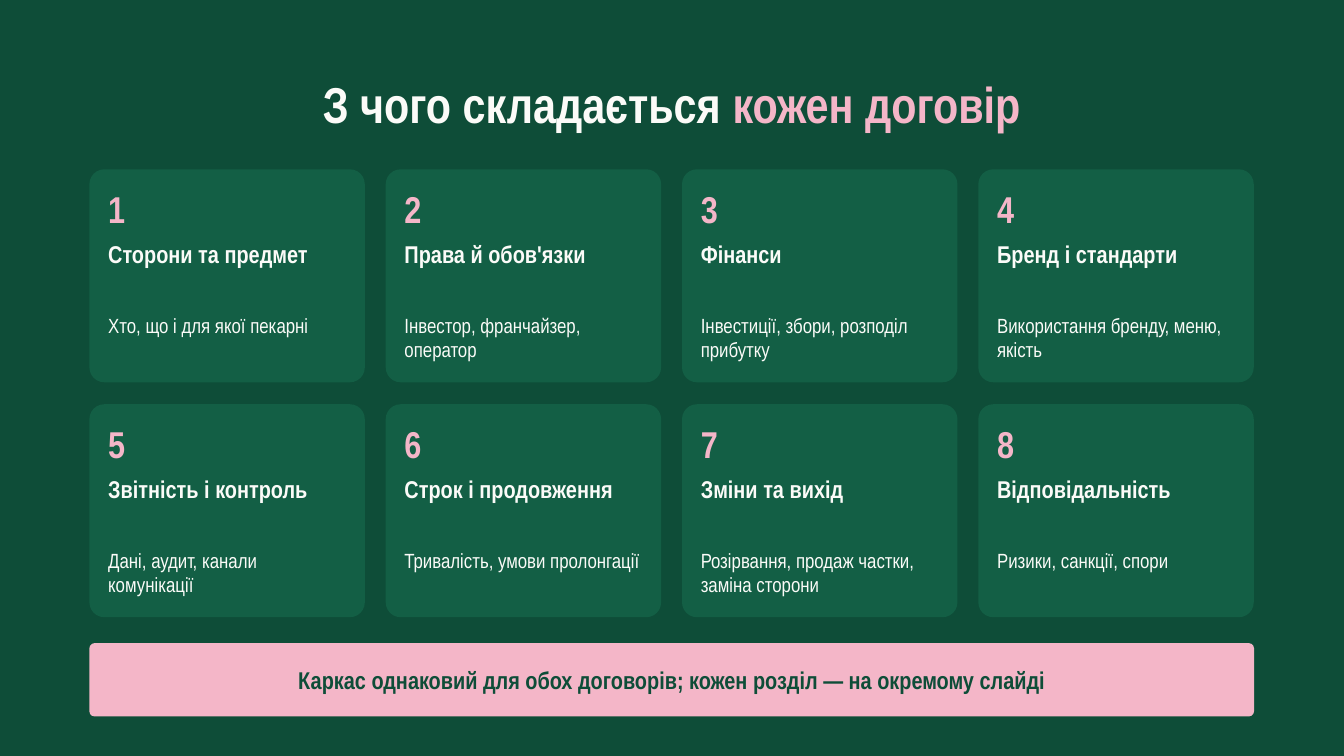
"""Build a slide with eight numbered contract sections and a closing banner."""
from typing import NamedTuple

from pptx import Presentation
from pptx.dml.color import RGBColor
from pptx.enum.shapes import MSO_SHAPE
from pptx.enum.text import MSO_ANCHOR, PP_ALIGN
from pptx.slide import Slide
from pptx.util import Cm, Pt

ROUND = MSO_SHAPE.ROUNDED_RECTANGLE
TOP, MIDDLE = MSO_ANCHOR.TOP, MSO_ANCHOR.MIDDLE
LEFT, CENTER = PP_ALIGN.LEFT, PP_ALIGN.CENTER
FONT = "Arial Narrow"
COLORS = {"dark": "0E4D38", "card": "135F45", "pink": "F4B6C8", "light": "FBFBF8"}
COLS = 4
STEP_X, STEP_Y = 11.2, 8.88


class Box(NamedTuple):
    """A frame in centimetres."""
    left: float
    top: float
    width: float
    height: float


class Style(NamedTuple):
    """The look of a run of text."""
    size: int
    color: str
    bold: bool = True


class Part(NamedTuple):
    """The place of one text inside a card."""
    drop: float
    height: float
    style: Style


class Card(NamedTuple):
    """The words of one contract section."""
    title: str
    detail: str


TITLE = Style(54, "light")
ACCENT = Style(54, "pink")
NOTE = Style(26, "dark")
PARTS = [
    Part(0.65, 1.96, Style(40, "pink")),
    Part(2.63, 2.49, Style(26, "light")),
    Part(5.42, 2.49, Style(22, "light", False)),
]
CARDS = [
    Card("Сторони та предмет", "Хто, що і для якої пекарні"),
    Card("Права й обов'язки", "Інвестор, франчайзер, оператор"),
    Card("Фінанси", "Інвестиції, збори, розподіл прибутку"),
    Card("Бренд і стандарти", "Використання бренду, меню, якість"),
    Card("Звітність і контроль", "Дані, аудит, канали комунікації"),
    Card("Строк і продовження", "Тривалість, умови пролонгації"),
    Card("Зміни та вихід", "Розірвання, продаж частки, заміна сторони"),
    Card("Відповідальність", "Ризики, санкції, спори"),
]


def paint(color: str) -> RGBColor:
    """Return the named colour."""
    return RGBColor.from_string(COLORS[color])


def add_panel(slide: Slide, box: Box, color: str) -> None:
    """Draw a filled rounded panel."""
    panel = slide.shapes.add_shape(ROUND, *map(Cm, box))
    panel.adjustments[0] = 0.07
    panel.shadow.inherit = False
    panel.fill.solid()
    panel.fill.fore_color.rgb = paint(color)
    panel.line.fill.background()


def add_text(slide: Slide, box: Box, runs: list[tuple[str, Style]],
             align: PP_ALIGN = LEFT, anchor: MSO_ANCHOR = TOP) -> None:
    """Write one paragraph of styled runs."""
    frame = slide.shapes.add_textbox(*map(Cm, box)).text_frame
    format = {"word_wrap": True, "vertical_anchor": anchor, "margin_left": 0,
              "margin_top": 0, "margin_right": 0, "margin_bottom": 0}
    for name, value in format.items():
        setattr(frame, name, value)
    para = frame.paragraphs[0]
    para.alignment = align
    for words, style in runs:
        run = para.add_run()
        run.text = words
        look = {"name": FONT, "size": Pt(style.size), "bold": style.bold}
        for name, value in look.items():
            setattr(run.font, name, value)
        run.font.color.rgb = paint(style.color)


def add_card(slide: Slide, index: int, card: Card) -> None:
    """Draw a card at its place in the grid."""
    row, col = divmod(index, COLS)
    box = Box(3.38 + col * STEP_X, 6.4 + row * STEP_Y, 10.41, 8.05)
    add_panel(slide, box, "card")
    for words, part in zip((str(index + 1), *card), PARTS):
        place = Box(box.left + 0.71, box.top + part.drop, 9.02, part.height)
        add_text(slide, place, [(words, part.style)])


def main() -> None:
    """Build and save the slide."""
    deck = Presentation()
    deck.slide_width, deck.slide_height = Cm(50.8), Cm(50.8 * 9 / 16)
    slide = deck.slides.add_slide(deck.slide_layouts[6])
    slide.background.fill.solid()
    slide.background.fill.fore_color.rgb = paint("dark")
    add_text(slide, Box(2.72, 2.77, 45.34, 2.49),
             [("З чого складається ", TITLE), ("кожен договір", ACCENT)], CENTER)
    for index, card in enumerate(CARDS):
        add_card(slide, index, card)
    add_panel(slide, Box(3.38, 24.31, 44.02, 2.77), "pink")
    note = "Каркас однаковий для обох договорів; кожен розділ — на окремому слайді"
    add_text(slide, Box(4.17, 24.31, 42.47, 2.77), [(note, NOTE)], CENTER, MIDDLE)
    deck.save("out.pptx")


if __name__ == "__main__":
    main()
